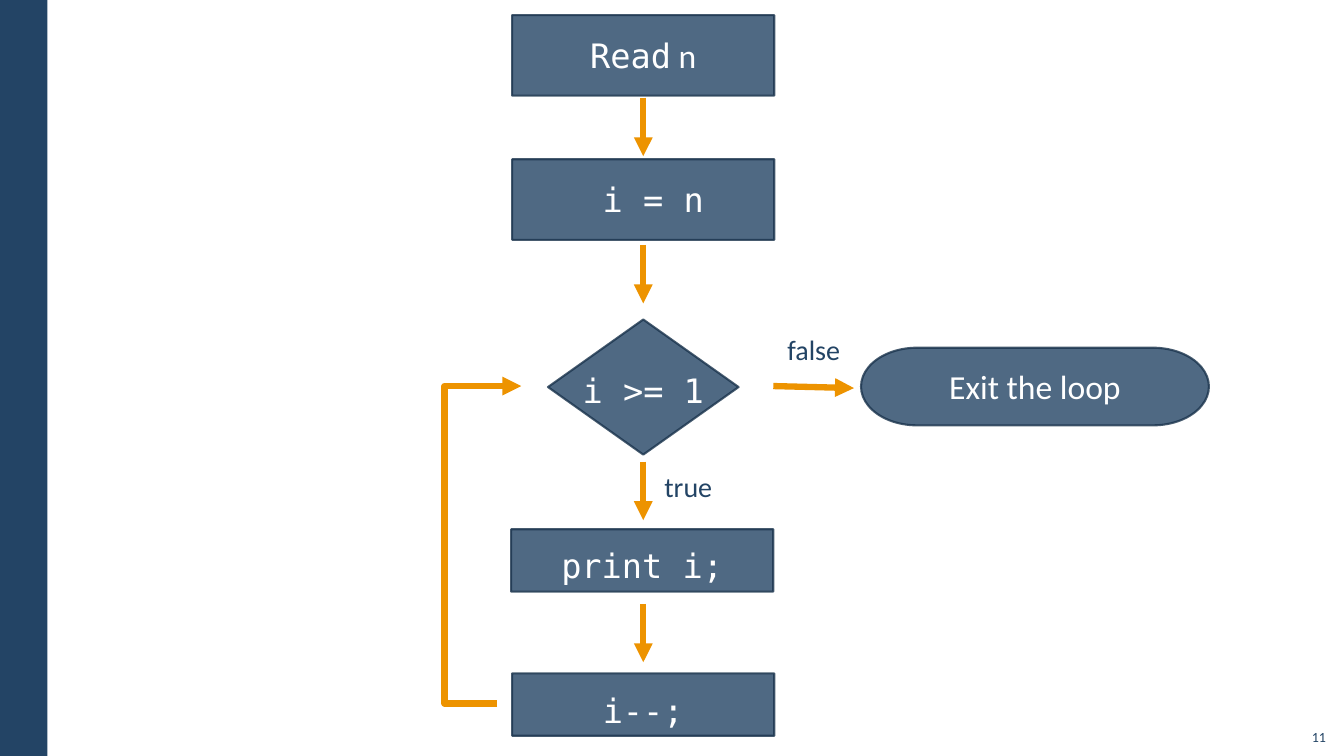
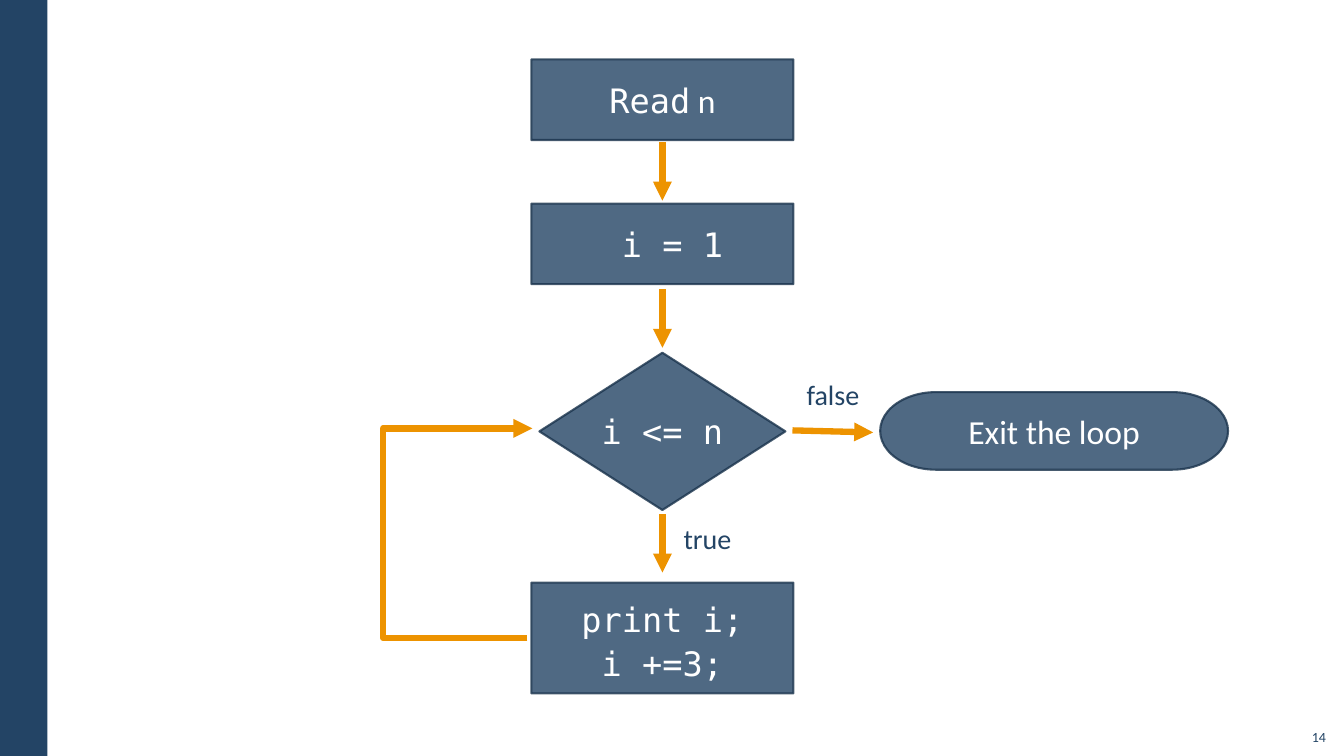
from lxml import etree
from pptx import Presentation
from pptx.dml.color import RGBColor
from pptx.enum import shapes, text
from pptx.oxml import ns
from pptx.util import Inches, Pt

HUES = {"navy": "234465", "edge": "1A334C", "gold": "ED9300", "white": "FFFFFF"}
SANS, MONO = "Calibri", "DejaVu Sans Mono"
KIND = shapes.MSO_SHAPE
SIDE, MID = text.PP_ALIGN, text.MSO_ANCHOR


def hue(name):
    return RGBColor.from_string(HUES[name])


def sub(node, tag, **attrs):
    return etree.SubElement(node, ns.qn(tag), attrs)


class Deck:
    """Holds the style and the current slide."""

    def __init__(self):
        self.prs = Presentation()
        self.prs.slide_width, self.prs.slide_height = Inches(13.33), Inches(7.5)
        self.slide = None

    def page(self, num):
        """Start a slide with the side band and its number."""
        self.slide = self.prs.slides.add_slide(self.prs.slide_layouts[6])
        band = self.shape(KIND.RECTANGLE, 0, 0, 0.47, 7.5)
        band.line.fill.background()
        self.label(str(num), 12.85, 7.12, 0.4, 0.32, 10, SIDE.RIGHT, MID.BOTTOM, 0.1, 0.05)

    def shape(self, kind, x, y, w, h):
        item = self.slide.shapes.add_shape(kind, *map(Inches, (x, y, w, h)))
        item.shadow.inherit = False
        item.fill.solid()
        item.fill.fore_color.rgb = hue("navy")
        return item

    def style(self, run, size, color, font):
        run.font.size, run.font.name = Pt(size), font
        run.font.color.rgb = hue(color)

    def words(self, frame, lines, size, color, font, align, lead=None):
        frame.text = lines
        for para in frame.paragraphs:
            para.alignment = align
            if lead:
                para.line_spacing = lead
            for run in para.runs:
                self.style(run, size, color, font)

    def node(self, kind, x, y, w, h, lines, font=MONO, lead=None, top=0, anchor=MID.MIDDLE):
        """Draw a see-through step of the flow chart, with its text."""
        item = self.shape(kind, x, y, w, h)
        item.line.color.rgb, item.line.width = hue("edge"), Pt(1.5)
        for color in item.element.spPr.iter(ns.qn("a:srgbClr")):
            sub(color, "a:alpha", val="80000")
        frame = item.text_frame
        frame.margin_left = frame.margin_right = frame.margin_bottom = 0
        frame.margin_top = Inches(top)
        frame.word_wrap = False
        frame.vertical_anchor = anchor
        self.words(frame, lines, 24, "white", font, SIDE.CENTER, lead)
        return item

    def step(self, mid, y, h, lines, **look):
        return self.node(KIND.RECTANGLE, mid - 1.3, y, 2.6, h, lines, **look)

    def code(self, mid, y, h, lines):
        self.step(mid, y, h, lines, lead=1.1, top=0.12, anchor=MID.TOP)

    def label(self, lines, x, y, w=0.84, h=0.6, size=20, align=SIDE.LEFT,
              anchor=MID.TOP, side=0.16, top=0.12):
        frame = self.slide.shapes.add_textbox(*map(Inches, (x, y, w, h))).text_frame
        frame.word_wrap = True
        frame.vertical_anchor = anchor
        frame.margin_left, frame.margin_top = Inches(side), Inches(top)
        frame.margin_right = Inches(side if align == SIDE.RIGHT else 0)
        self.words(frame, lines, size, "navy", SANS, align,
                   1.1 if align == SIDE.LEFT else None)

    def arrow(self, x1, y1, x2, y2, kind=shapes.MSO_CONNECTOR.STRAIGHT):
        item = self.slide.shapes.add_connector(kind, *map(Inches, (x1, y1, x2, y2)))
        item.line.color.rgb, item.line.width = hue("gold"), Pt(4.5)
        props = item.element.spPr
        sub(props.find(ns.qn("a:ln")), "a:tailEnd", type="triangle")
        sub(props, "a:effectLst")
        return item

    def down(self, x, y):
        self.arrow(x, y, x, y + 0.58)

    def loop(self, x1, y1, turn, x2, y2):
        """Lead back up to the test, by way of the line x = turn."""
        item = self.arrow(x1, y1, x2, y2, shapes.MSO_CONNECTOR.ELBOW)
        geom = item.element.spPr.find(ns.qn("a:prstGeom"))
        bends = geom.find(ns.qn("a:avLst"))
        if bends is None:
            bends = sub(geom, "a:avLst")
        ratio = round((turn - x1) / (x2 - x1) * 100000)
        sub(bends, "a:gd", name="adj1", fmla=f"val {ratio}")

    def chart(self, num, mid, top, start, test, wide, high, drop, sink=0):
        """Draw what both charts share: read, start, test and exit."""
        self.page(num)
        read = self.step(mid, top, 0.8, "Read")
        tail = read.text_frame.paragraphs[0].add_run()
        tail.text = " n"
        self.style(tail, 24, "white", SANS)
        self.down(mid, top + 0.82)
        self.step(mid, top + 1.43, 0.8, start)
        self.down(mid, top + 2.28)
        self.node(KIND.FLOWCHART_DECISION, mid - wide / 2, top + 3.69 - high / 2,
                  wide, high, test, top=sink)
        self.label("false", mid + 1.27, top + 3)
        self.arrow(mid + 1.29, top + 3.68, mid + 2.09, top + 3.7)
        self.node(KIND.FLOWCHART_TERMINATOR, mid + 2.16, top + 3.3, 3.45, 0.77,
                  "Exit the loop", SANS)
        self.down(mid, drop)
        self.label("true", mid + 0.05, drop - 0.08)


def main():
    deck = Deck()
    deck.chart(11, 6.38, 0.15, " i = n", "i >= 1", 1.89, 1.34, 4.58, 0.05)
    deck.code(6.37, 5.25, 0.62, "print i;")
    deck.down(6.38, 5.99)
    deck.code(6.38, 6.68, 0.62, "i--;")
    deck.loop(4.93, 6.98, 4.41, 5.17, 3.83)

    deck.chart(14, 6.57, 0.59, " i = 1", "i <= n", 2.44, 1.56, 5.1)
    deck.code(6.57, 5.78, 1.1, "print i;\ni +=3;")
    deck.loop(5.23, 6.33, 3.8, 5.28, 4.25)
    deck.prs.save("out.pptx")


if __name__ == "__main__":
    main()
